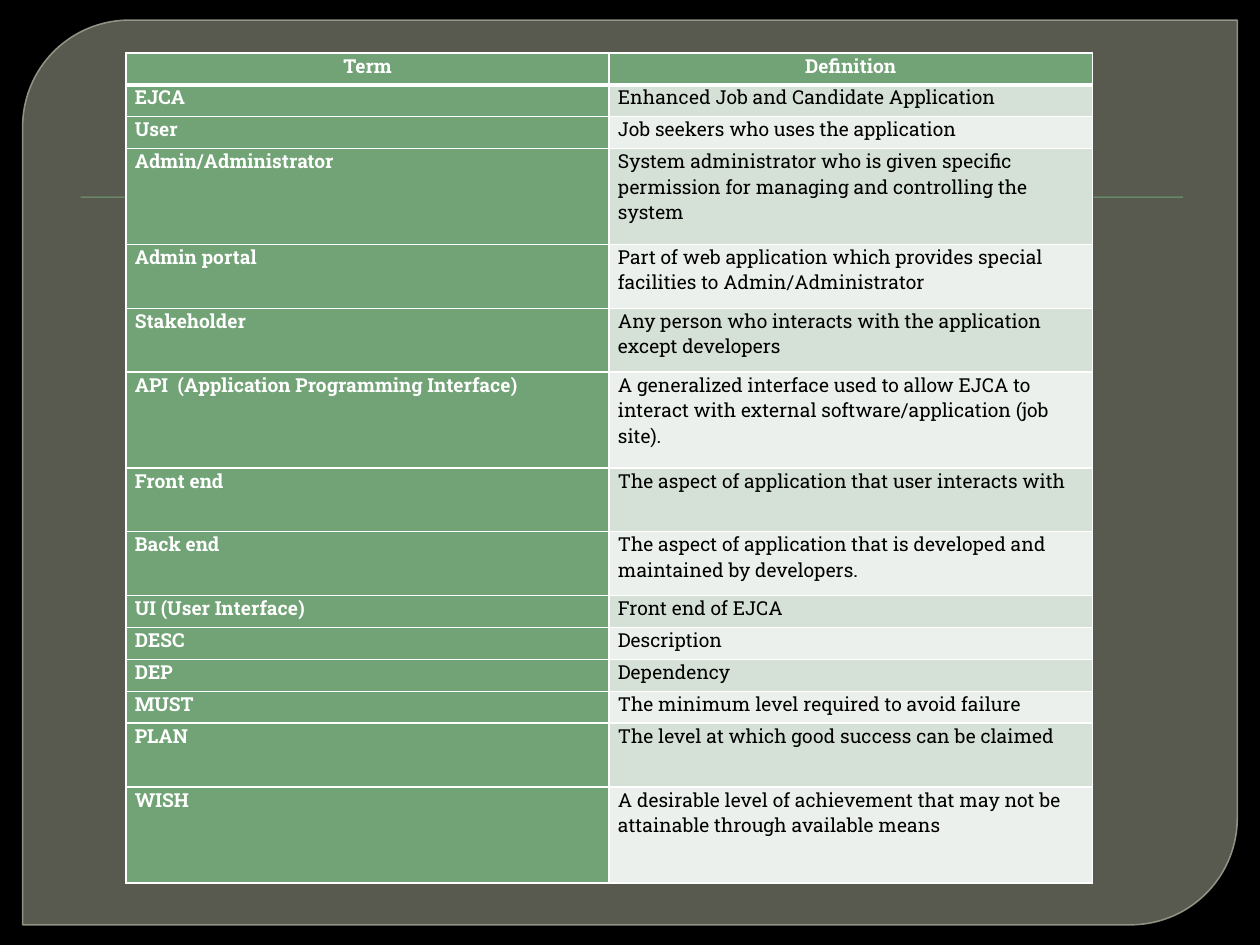
from dataclasses import dataclass

from lxml.etree import SubElement
from pptx import Presentation
from pptx.dml.color import RGBColor
from pptx.enum.shapes import MSO_SHAPE
from pptx.enum.text import PP_ALIGN
from pptx.oxml.ns import qn
from pptx.util import Inches, Pt


@dataclass(frozen=True)
class Theme:
    font: str = "Roboto Slab"
    size: float = 11
    backdrop: str = "000000"
    panel: str = "888B7B"
    panel_edge: str = "9DA090"
    accent: str = "72A376"
    bands: tuple = ("D5E0D6", "EBF0EC")
    light: str = "FFFFFF"
    dark: str = "000000"


theme = Theme()

# Term, definition and height in row units
GLOSSARY = [
    ("Term", "Definition", 1),
    ("EJCA", "Enhanced Job and Candidate Application", 1),
    ("User", "Job seekers who uses the application", 1),
    ("Admin/Administrator", "System administrator who is given specific permission "
     "for managing and controlling the system", 3),
    ("Admin portal", "Part of web application which provides special facilities "
     "to Admin/Administrator", 2),
    ("Stakeholder", "Any person who interacts with the application except developers", 2),
    ("API  (Application Programming Interface)", "A generalized interface used to allow "
     "EJCA to interact with external software/application (job site).", 3),
    ("Front end", "The aspect of application that user interacts with", 2),
    ("Back end", "The aspect of application that is developed and maintained "
     "by developers.", 2),
    ("UI (User Interface)", "Front end of EJCA", 1),
    ("DESC", "Description", 1),
    ("DEP", "Dependency", 1),
    ("MUST", "The minimum level required to avoid failure", 1),
    ("PLAN", "The level at which good success can be claimed", 2),
    ("WISH", "A desirable level of achievement that may not be attainable "
     "through available means", 3),
]


def set_alpha(fill_parent, percent):
    color = next(fill_parent.iter(qn("a:srgbClr")))
    SubElement(color, qn("a:alpha"), val=str(percent * 1000))


def set_borders(cell, widths):
    properties = cell._tc.get_or_add_tcPr()
    for side, width in widths.items():
        line = SubElement(properties, qn(f"a:ln{side}"), w=str(Pt(width)))
        fill = SubElement(line, qn("a:solidFill"))
        SubElement(fill, qn("a:srgbClr"), val=theme.light)


deck = Presentation()
deck.slide_width, deck.slide_height = Inches(10), Inches(7.5)
slide = deck.slides.add_slide(deck.slide_layouts[6])
slide.background.fill.solid()
slide.background.fill.fore_color.rgb = RGBColor.from_string(theme.backdrop)

# Translucent panel with two rounded corners
panel = slide.shapes.add_shape(MSO_SHAPE.ROUND_2_DIAG_RECTANGLE, Inches(0.18), Inches(0.16),
                               Inches(9.64), Inches(7.18))
panel.adjustments[0], panel.adjustments[1] = 0.118, 0
panel.shadow.inherit = False
panel.fill.solid()
panel.fill.fore_color.rgb = RGBColor.from_string(theme.panel)
set_alpha(panel.fill._xPr.find(qn("a:solidFill")), 65)
panel.line.color.rgb = RGBColor.from_string(theme.panel_edge)
panel.line.width = Pt(0.87)
set_alpha(panel.line._ln, 88)

# Thin rule behind the table
rule = slide.shapes.add_shape(MSO_SHAPE.RECTANGLE, Inches(0.64), Inches(1.56),
                              Inches(8.75), Inches(0.01))
rule.shadow.inherit = False
rule.fill.solid()
rule.fill.fore_color.rgb = RGBColor.from_string(theme.accent)
rule.line.fill.background()

# Glossary table
table_width, table_height = Inches(7.67), Inches(6.59)
row_unit = table_height // sum(units for _, _, units in GLOSSARY)
table = slide.shapes.add_table(len(GLOSSARY), 2, Inches(1), Inches(0.42),
                               table_width, table_height).table
for column in table.columns:
    column.width = table_width // 2

for row, (term, definition, units) in enumerate(GLOSSARY):
    table.rows[row].height = row_unit * units
    for column, text in enumerate((term, definition)):
        is_label = row == 0 or column == 0
        cell = table.cell(row, column)
        set_borders(cell, {"L": 1, "R": 1, "T": 3 if row == 1 else 1, "B": 3 if row == 0 else 1})
        cell.fill.solid()
        fill_color = theme.accent if is_label else theme.bands[(row - 1) % 2]
        cell.fill.fore_color.rgb = RGBColor.from_string(fill_color)
        cell.margin_left = cell.margin_right = Inches(0.07)
        cell.margin_top = cell.margin_bottom = 0
        para = cell.text_frame.paragraphs[0]
        para.alignment = PP_ALIGN.CENTER if row == 0 else PP_ALIGN.LEFT
        span = para.add_run()
        span.text = text
        span.font.name, span.font.size = theme.font, Pt(theme.size)
        span.font.bold = is_label
        span.font.color.rgb = RGBColor.from_string(theme.light if is_label else theme.dark)

deck.save("out.pptx")
